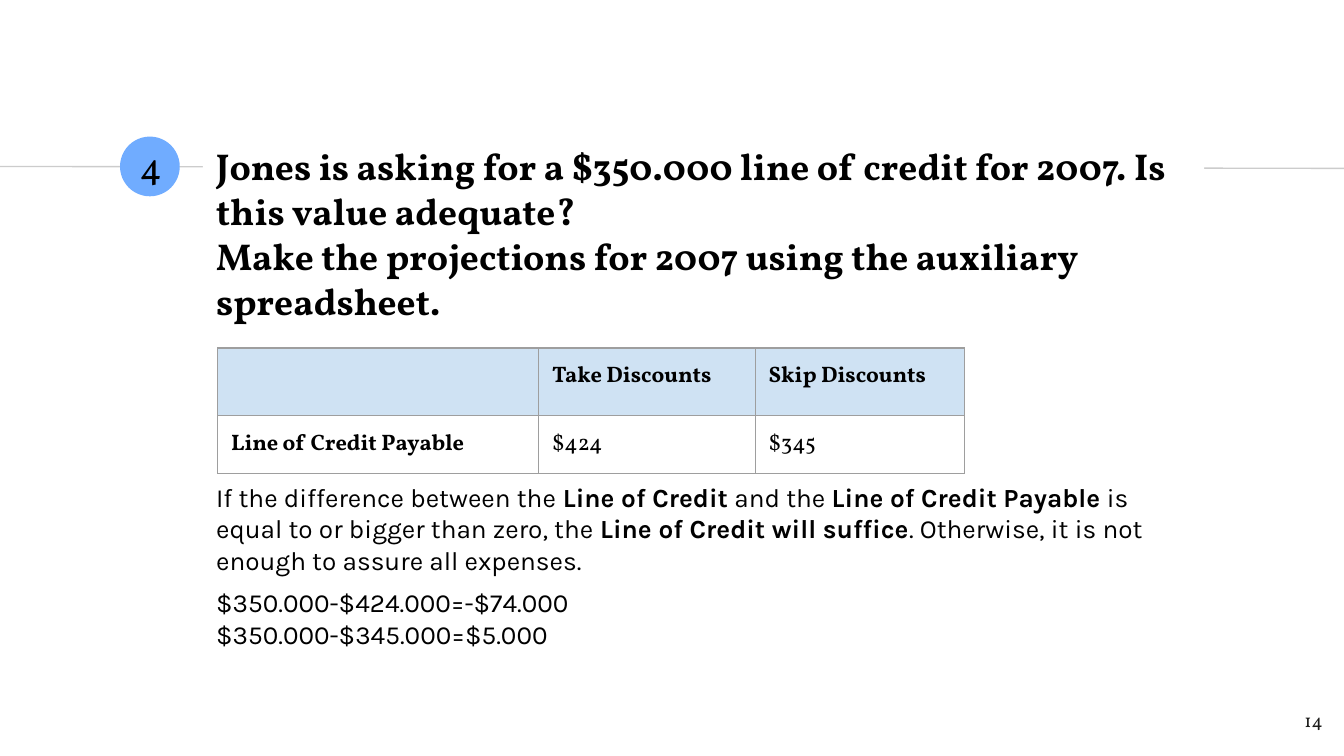
"""Build the line of credit slide with its table and conclusion."""
from lxml.etree import SubElement
from pptx import Presentation
from pptx.dml.color import RGBColor
from pptx.enum.shapes import MSO_CONNECTOR, MSO_SHAPE
from pptx.enum.text import MSO_ANCHOR, PP_ALIGN
from pptx.oxml import parse_xml
from pptx.oxml.ns import nsdecls, qn
from pptx.util import Pt

THEME = {
    "serif": "Vollkorn", "sans": "Karla",
    "black": "000000", "ink": "1D1D1B", "white": "FFFFFF",
    "blue": "70ACFF", "header": "CFE2F3", "rule": "CCCCCC", "border": "9E9E9E",
    "title": 20, "body": 14, "cell": 12, "page": 10, "line": 0.75, "inset": 7.2,
}
TITLE = [
    [("Jones is asking for a $350.000 line of credit for 2007. Is this value adequate?", True)],
    [("Make the projections for 2007 using the auxiliary spreadsheet.", True)],
]
BODY = [
    [("If the difference between the ", False), ("Line of Credit", True),
     (" and the ", False), ("Line of Credit Payable", True),
     (" is equal to or bigger than zero, the ", False),
     ("Line of Credit will suffice", True),
     (". Otherwise, it is not enough to assure all expenses.", False)],
    [("$350.000-$424.000=-$74.000", False)],
    [("$350.000-$345.000=$5.000", False)],
]
TABLE = [
    ["", "Take Discounts", "Skip Discounts"],
    ["Line of Credit Payable", "$424", "$345"],
]
COLUMNS, ROWS = [172, 116, 112], [35, 31]
BADGE, PAGE_NUMBER = "4", "14"
LEFT, WIDTH = 108.7, 536.4


def color(name):
    return RGBColor.from_string(THEME[name])


def assign(target, values):
    for name, value in values.items():
        setattr(target, name, value)


def write(frame, paragraphs, font, size, ink="black", align=PP_ALIGN.LEFT,
          anchor=MSO_ANCHOR.TOP, before=()):
    inset = Pt(THEME["inset"])
    assign(frame, {"word_wrap": True, "vertical_anchor": anchor,
                   "margin_left": inset, "margin_right": inset,
                   "margin_top": inset, "margin_bottom": inset})
    for index, spans in enumerate(paragraphs):
        para = frame.paragraphs[0] if index == 0 else frame.add_paragraph()
        space = before[index] if before else 0
        assign(para, {"alignment": align, "space_before": Pt(space)})
        for text, bold in spans:
            span = para.add_run()
            span.text = text
            assign(span.font, {"name": THEME[font], "size": Pt(THEME[size]), "bold": bold})
            span.font.color.rgb = color(ink)


def add_plain_shape(page, kind, place, fill):
    shape = page.shapes.add_shape(kind, *map(Pt, place))
    shape.shadow.inherit = False
    shape.fill.solid()
    shape.fill.fore_color.rgb = color(fill)
    shape.line.fill.background()
    return shape


def add_text(page, place, *content, **layout):
    box = page.shapes.add_textbox(*map(Pt, place))
    write(box.text_frame, *content, **layout)


def add_rule(page):
    rule = page.shapes.add_connector(
        MSO_CONNECTOR.STRAIGHT, Pt(0), Pt(89.2), Pt(722), Pt(90.2))
    rule.line.color.rgb = color("rule")
    rule.line.width = Pt(THEME["line"])
    SubElement(rule._element.spPr, qn("a:effectLst"))


def add_borders(cell):
    properties = cell._tc.get_or_add_tcPr()
    for index, side in enumerate(("lnL", "lnR", "lnT", "lnB")):
        properties.insert(index, parse_xml(
            f'<a:{side} {nsdecls("a")} w="{Pt(THEME["line"])}"><a:solidFill>'
            f'<a:srgbClr val="{THEME["border"]}"/></a:solidFill></a:{side}>'))


def add_credit_table(page):
    place = (LEFT + THEME["inset"] + 0.7, 186.5, sum(COLUMNS), sum(ROWS))
    table = page.shapes.add_table(len(ROWS), len(COLUMNS), *map(Pt, place)).table
    for column, width in zip(table.columns, COLUMNS):
        column.width = Pt(width)
    for row, height in zip(table.rows, ROWS):
        row.height = Pt(height)
    for r, texts in enumerate(TABLE):
        for c, text in enumerate(texts):
            cell = table.cell(r, c)
            cell.fill.solid()
            cell.fill.fore_color.rgb = color("white" if r else "header")
            write(cell.text_frame, [[(text, r == 0 or c == 0)]], "serif", "cell")
            inset = Pt(THEME["inset"])
            assign(cell, {"margin_left": inset, "margin_right": inset,
                          "margin_top": inset, "margin_bottom": inset})
            add_borders(cell)


def main():
    deck = Presentation()
    assign(deck, {"slide_width": Pt(720), "slide_height": Pt(405)})
    page = deck.slides.add_slide(deck.slide_layouts[6])
    add_rule(page)
    add_plain_shape(page, MSO_SHAPE.OVAL, (64.3, 73.2, 32, 32), "blue")
    title = add_plain_shape(page, MSO_SHAPE.RECTANGLE, (LEFT, 72.7, WIDTH, 104.4), "white")
    write(title.text_frame, TITLE, "serif", "title", anchor=MSO_ANCHOR.MIDDLE)
    add_text(page, (LEFT, 250.6, WIDTH, 104.4), BODY, "sans", "body", before=(6, 6, 0))
    add_text(page, (672.5, 373.7, 43.2, 31), [[(PAGE_NUMBER, False)]], "serif", "page",
             ink="ink", align=PP_ALIGN.RIGHT)
    add_text(page, (66, 72.7, 29.5, 31), [[(BADGE, False)]], "serif", "title",
             align=PP_ALIGN.CENTER, anchor=MSO_ANCHOR.MIDDLE)
    add_credit_table(page)
    deck.save("out.pptx")


if __name__ == "__main__":
    main()
